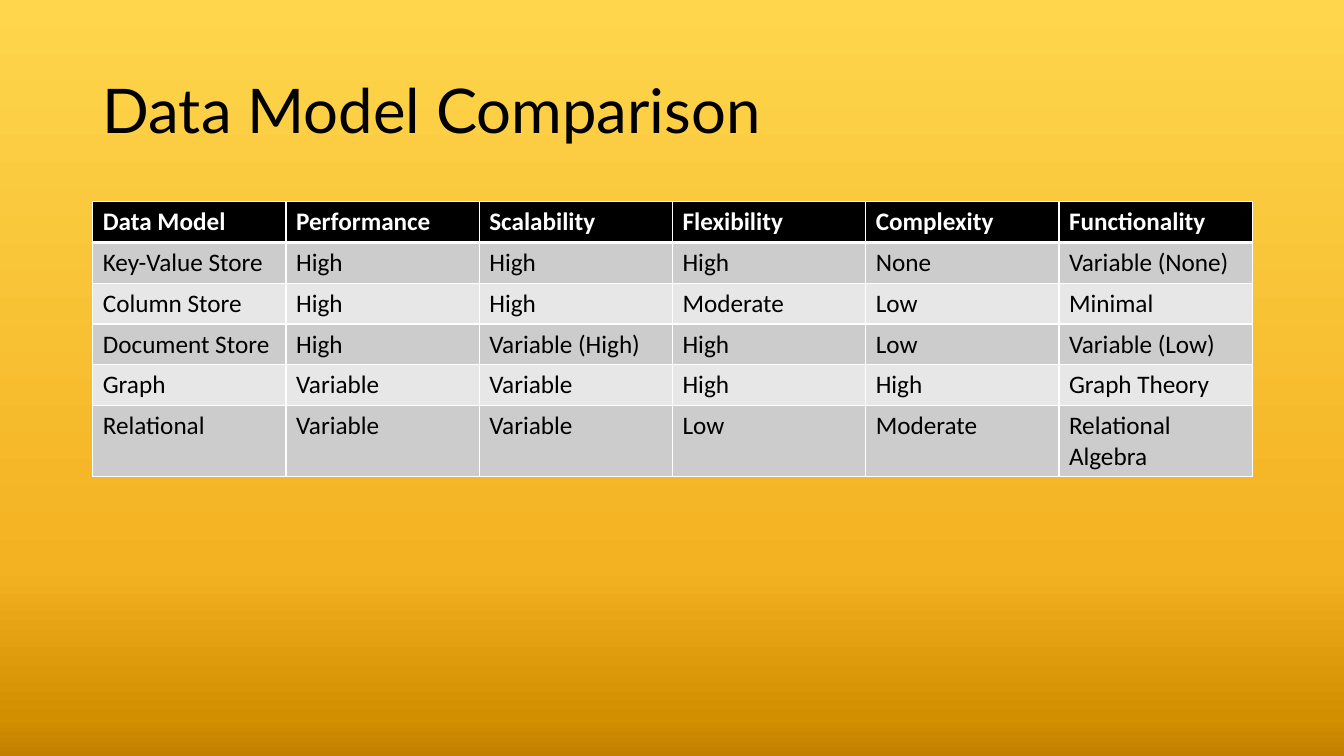
from lxml import etree
from pptx import Presentation
from pptx.dml.color import RGBColor
from pptx.enum.text import MSO_ANCHOR
from pptx.oxml import parse_xml
from pptx.oxml.ns import nsdecls, qn
from pptx.util import Inches, Pt

MIDDLE = MSO_ANCHOR.MIDDLE
WIDE, HIGH = 13.33, 7.5
LEFT, SPAN = 0.92, 11.5
BLACK, WHITE = "000000", "FFFFFF"
BANDS = ["CCCCCC", "E7E7E7"]
STOPS = [(0, "FFD64C"), (75, "F3B222"), (95, "D28F00"), (100, "C37F00")]
ROW, TALL = 0.405, 0.705

MODELS = [
    ["Data Model", "Performance", "Scalability", "Flexibility", "Complexity", "Functionality"],
    ["Key-Value Store", "High", "High", "High", "None", "Variable (None)"],
    ["Column Store", "High", "High", "Moderate", "Low", "Minimal"],
    ["Document Store", "High", "Variable (High)", "High", "Low", "Variable (Low)"],
    ["Graph", "Variable", "Variable", "High", "High", "Graph Theory"],
    ["Relational", "Variable", "Variable", "Low", "Moderate", "Relational Algebra"],
]


def tint(code):
    return RGBColor.from_string(code)


def write(frame, text, size=18, font="Calibri", color=BLACK, bold=False, lead=1.0):
    frame.word_wrap = True
    para = frame.paragraphs[0]
    para.line_spacing = lead
    run = para.add_run()
    run.text = text
    run.font.size = Pt(size)
    run.font.name = font
    run.font.bold = bold
    run.font.color.rgb = tint(color)


def shade(slide, stops):
    """Fill the background with a gradient running from top to bottom."""
    marks = "".join(
        f'<a:gs pos="{pos * 1000}"><a:srgbClr val="{code}"/></a:gs>' for pos, code in stops
    )
    back = parse_xml(
        f'<p:bg {nsdecls("p", "a")}><p:bgPr><a:gradFill rotWithShape="1">'
        f'<a:gsLst>{marks}</a:gsLst><a:lin ang="5400000" scaled="0"/>'
        "</a:gradFill><a:effectLst/></p:bgPr></p:bg>"
    )
    slide.element.cSld.insert(0, back)


def edge(cell, side, width):
    """Draw one white border; call before the cell is filled."""
    line = etree.SubElement(cell._tc.get_or_add_tcPr(), qn(f"a:ln{side}"), w=str(Pt(width)))
    fill = etree.SubElement(line, qn("a:solidFill"))
    etree.SubElement(fill, qn("a:srgbClr"), val=WHITE)


def title(slide, text, x, y, w, h):
    box = slide.shapes.add_textbox(*map(Inches, (x, y, w, h)))
    box.text_frame.vertical_anchor = MIDDLE
    write(box.text_frame, text, size=44, font="Lato", lead=0.9)


def grid(slide, data, x, y, w):
    """Place a table with a black header row and banded body rows."""
    count = len(data[0])
    sizes = [ROW] * (len(data) - 1) + [TALL]
    frame = slide.shapes.add_table(
        len(data), count, *map(Inches, (x, y, w, sum(sizes)))
    )
    table = frame.table
    for col in table.columns:
        col.width = Inches(w / count)
    for r, (words, size) in enumerate(zip(data, sizes)):
        table.rows[r].height = Inches(size)
        head = r == 0
        for c, word in enumerate(words):
            cell = table.cell(r, c)
            widths = {"L": 1, "R": 1, "T": 3 if r == 1 else 1, "B": 3 if head else 1}
            for side, width in widths.items():
                edge(cell, side, width)
            cell.fill.solid()
            cell.fill.fore_color.rgb = tint(BLACK if head else BANDS[(r - 1) % 2])
            write(cell.text_frame, word, color=WHITE if head else BLACK, bold=head)


def main():
    deck = Presentation()
    deck.slide_width, deck.slide_height = Inches(WIDE), Inches(HIGH)
    slide = deck.slides.add_slide(deck.slide_layouts[6])
    shade(slide, STOPS)
    title(slide, "Data Model Comparison", LEFT, 0.4, SPAN, 1.45)
    grid(slide, MODELS, LEFT, 2, SPAN)
    deck.save("out.pptx")


if __name__ == "__main__":
    main()
